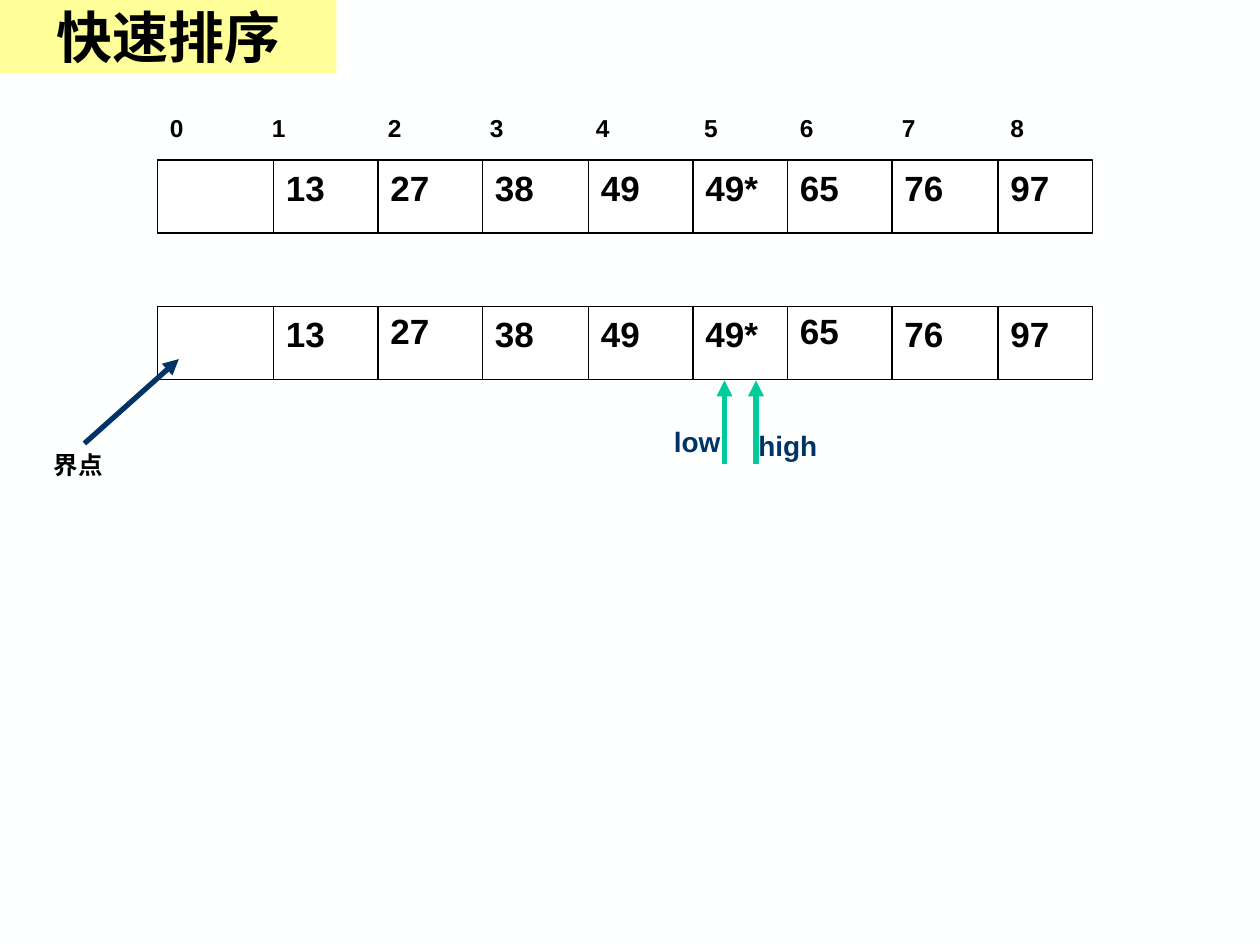
"""Build a slide on the last step of a quick sort."""
from dataclasses import dataclass
from lxml.etree import SubElement
from pptx import Presentation
from pptx.dml.color import RGBColor as Rgb
from pptx.enum.shapes import MSO_CONNECTOR as Conn, MSO_SHAPE as Form
from pptx.enum.text import MSO_ANCHOR as Anchor, MSO_AUTO_SIZE as Auto, PP_ALIGN as Align
from pptx.oxml.ns import qn
from pptx.util import Inches, Pt

HUES = {"back": "FEFFFF", "band": "FFFF99", "cell": "FFFFFF",
        "ink": "000000", "navy": "003366", "green": "00CC99"}
EDGES = [1.25, 2.17, 3, 3.83, 4.67, 5.5, 6.25, 7.08, 7.92, 8.67]
KEYS = ["13", "27", "38", "49", "49*", "65", "76", "97"]
STOPS = [0.81, 1.73, 2.54, 3.38, 4.24, 5, 5.81, 6.67]
TALL = 0.58


@dataclass
class Row:
    top: float
    raised: tuple = ()


@dataclass
class Mark:
    name: str
    tip: float
    left: float
    top: float


ROWS = [Row(2.43, ("27", "65")), Row(1.27)]
MARKS = [Mark("high", 6, 5.92, 3.35), Mark("low", 5.75, 5.25, 3.32)]


def hue(name: str) -> Rgb:
    return Rgb.from_string(HUES[name])


def write(frame, text: str, *, size: float, color: str = "ink", font: str = "Arial",
          align=Align.LEFT, anchor=Anchor.TOP, stops: tuple = ()) -> None:
    frame.word_wrap = True
    frame.auto_size = Auto.NONE
    frame.vertical_anchor = anchor
    para = frame.paragraphs[0]
    para.text = text
    para.alignment = align
    if stops:
        tabs = SubElement(para._p.get_or_add_pPr(), qn("a:tabLst"))
        for stop in stops:
            SubElement(tabs, qn("a:tab"), pos=str(Inches(stop)), algn="l")
    face = para.runs[0].font
    face.name, face.size, face.bold = font, Pt(size), True
    face.color.rgb = hue(color)


def label(shapes, text: str, box: tuple, **style) -> None:
    write(shapes.add_textbox(*map(Inches, box)).text_frame, text, **style)


def line(shapes, start: tuple, end: tuple, color: str = "ink",
         width: float = 0.75, arrow: bool = False) -> None:
    rule = shapes.add_connector(Conn.STRAIGHT, *map(Inches, start + end))
    rule.line.color.rgb = hue(color)
    rule.line.width = Pt(width)
    if arrow:
        SubElement(rule.line._get_or_add_ln(), qn("a:tailEnd"), type="triangle")
    SubElement(rule._element.spPr, qn("a:effectLst"))


def grid(shapes, row: Row) -> None:
    group = shapes.add_group_shape().shapes
    box = (EDGES[0], row.top, EDGES[-1] - EDGES[0], TALL)
    frame = group.add_shape(Form.RECTANGLE, *map(Inches, box))
    frame.shadow.inherit = False
    frame.fill.solid()
    frame.fill.fore_color.rgb = hue("cell")
    frame.line.color.rgb = hue("ink")
    frame.line.width = Pt(0.75)
    for edge in EDGES[1:-1]:
        line(group, (edge, row.top), (edge, row.top + TALL))


def fill(shapes, row: Row) -> None:
    for key, left in zip(KEYS, EDGES[1:]):
        top = row.top - 0.02 * (key in row.raised)
        label(shapes, key, (left, top, 0.67, 0.44), size=20)


def point(shapes, mark: Mark) -> None:
    group = shapes.add_group_shape().shapes
    line(group, (mark.tip, 3.68), (mark.tip, 3.02), "green", 3, True)
    label(group, mark.name, (mark.left, mark.top, 0.92, 0.37), size=16, color="navy")


def main() -> None:
    deck = Presentation()
    deck.slide_width, deck.slide_height = Inches(10), Inches(7.5)
    slide = deck.slides.add_slide(deck.slide_layouts[5])
    slide.background.fill.solid()
    slide.background.fill.fore_color.rgb = hue("back")
    shapes = slide.shapes

    title = shapes.title
    title.left, title.top, title.width, title.height = map(Inches, (0, 0, 2.67, TALL))
    title.fill.solid()
    title.fill.fore_color.rgb = hue("band")
    write(title.text_frame, "快速排序", size=32, font="Times New Roman",
          align=Align.CENTER, anchor=Anchor.MIDDLE)

    for row in ROWS:
        grid(shapes, row)
    label(shapes, "\t".join(map(str, range(9))), (1.25, 0.85, 7.42, 0.34),
          size=14, stops=STOPS)
    for row in ROWS:
        fill(shapes, row)
    for mark in MARKS:
        point(shapes, mark)
    label(shapes, "界点", (0.33, 3.52, 0.83, 0.34), size=14)
    line(shapes, (0.67, 3.52), (1.42, 2.85), "navy", 3, True)
    deck.save("out.pptx")


if __name__ == "__main__":
    main()
